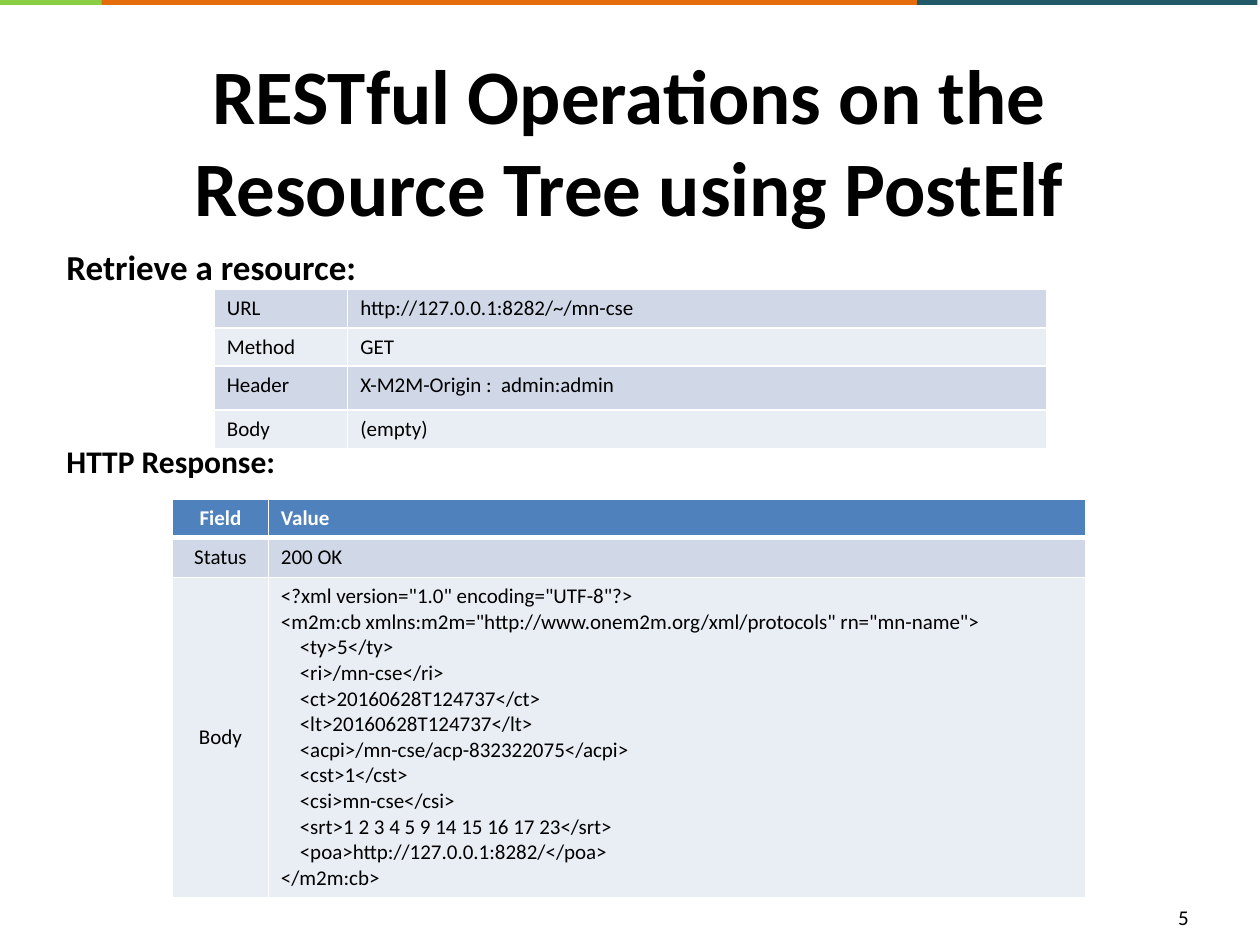
from dataclasses import dataclass

from lxml import etree
from pptx import Presentation
from pptx.dml.color import RGBColor
from pptx.enum.shapes import MSO_SHAPE
from pptx.enum.text import MSO_ANCHOR, MSO_AUTO_SIZE, PP_ALIGN
from pptx.oxml.ns import qn
from pptx.util import Cm, Pt

RECTANGLE = MSO_SHAPE.RECTANGLE
LEFT, CENTER = PP_ALIGN.LEFT, PP_ALIGN.CENTER
TOP, MIDDLE = MSO_ANCHOR.TOP, MSO_ANCHOR.MIDDLE
NO_FIT = MSO_AUTO_SIZE.NONE

BLACK = RGBColor(0x00, 0x00, 0x00)
WHITE = RGBColor(0xFF, 0xFF, 0xFF)
GREEN = RGBColor(0x8B, 0xCD, 0x43)
ORANGE = RGBColor(0xE4, 0x6C, 0x0A)
TEAL = RGBColor(0x21, 0x59, 0x68)
HEADER_BLUE = RGBColor(0x4F, 0x81, 0xBD)
BAND_DARK = RGBColor(0xD0, 0xD8, 0xE8)
BAND_LIGHT = RGBColor(0xE9, 0xED, 0xF4)

FONT = "Calibri"
CODE_INDENT = Cm(0.38)
TITLE_ONLY = 5


@dataclass
class Strip:
    left: float
    width: float
    color: RGBColor


@dataclass
class Label:
    text: str
    left: float
    top: float
    width: float
    height: float
    size: int
    bold: bool = True


@dataclass
class Grid:
    left: float
    top: float
    widths: list[float]
    heights: list[float]
    rows: list[tuple[str, str]]
    has_header: bool = False
    first_align: PP_ALIGN = LEFT
    anchor: MSO_ANCHOR = TOP


RESPONSE_XML = """<?xml version="1.0" encoding="UTF-8"?>
<m2m:cb xmlns:m2m="http://www.onem2m.org/xml/protocols" rn="mn-name">
\t<ty>5</ty>
\t<ri>/mn-cse</ri>
\t<ct>20160628T124737</ct>
\t<lt>20160628T124737</lt>
\t<acpi>/mn-cse/acp-832322075</acpi>
\t<cst>1</cst>
\t<csi>mn-cse</csi>
\t<srt>1 2 3 4 5 9 14 15 16 17 23</srt>
\t<poa>http://127.0.0.1:8282/</poa>
</m2m:cb>"""

STRIPS = [
    Strip(2.03, 16.46, ORANGE),
    Strip(18.49, 6.86, TEAL),
    Strip(-0.13, 2.18, GREEN),
]
LABELS = [
    Label("Retrieve a resource:", 1.09, 4.83, 12, 1.1, 20),
    Label("HTTP Response:", 1.09, 8.79, 12, 1.1, 18),
    Label("5", 23.5, 18.11, 1.63, 1.02, 12, bold=False),
]
REQUEST = Grid(
    4.32, 5.84, [2.69, 14.1], [0.77, 0.77, 0.89, 0.77],
    [
        ("URL", "http://127.0.0.1:8282/~/mn-cse"),
        ("Method", "GET"),
        ("Header", "X-M2M-Origin :  admin:admin"),
        ("Body", "(empty)"),
    ],
)
RESPONSE = Grid(
    3.48, 10.06, [1.93, 16.48], [0.77, 0.81, 6.45],
    [("Field", "Value"), ("Status", "200 OK"), ("Body", RESPONSE_XML)],
    has_header=True, first_align=CENTER, anchor=MIDDLE,
)


def write_text(frame, text: str, *, size: int, color: RGBColor = BLACK,
               bold: bool = False, align: PP_ALIGN = LEFT) -> None:
    """Write one paragraph per line; a leading tab indents the paragraph."""
    for index, line in enumerate(text.split("\n")):
        para = frame.add_paragraph() if index else frame.paragraphs[0]
        para.alignment = align
        if line.startswith("\t"):
            para._p.get_or_add_pPr().set("marL", str(CODE_INDENT))
        span = para.add_run()
        span.text = line.lstrip("\t")
        span.font.name = FONT
        span.font.size = Pt(size)
        span.font.bold = bold
        span.font.color.rgb = color


def draw_strip(page, strip: Strip) -> None:
    box = page.shapes.add_shape(RECTANGLE, Cm(strip.left), Cm(-0.03),
                                Cm(strip.width), Cm(0.13))
    box.shadow.inherit = False
    box.fill.solid()
    box.fill.fore_color.rgb = strip.color
    box.line.fill.background()


def draw_label(page, label: Label) -> None:
    box = page.shapes.add_textbox(Cm(label.left), Cm(label.top),
                                  Cm(label.width), Cm(label.height))
    box.text_frame.word_wrap = True
    write_text(box.text_frame, label.text, size=label.size, bold=label.bold)


def set_borders(cell, top: int, bottom: int) -> None:
    """Give the cell white borders; top and bottom widths are in points."""
    sides = [("a:lnL", 1), ("a:lnR", 1), ("a:lnT", top), ("a:lnB", bottom)]
    properties = cell._tc.get_or_add_tcPr()
    for index, (tag, width) in enumerate(sides):
        line = etree.Element(qn(tag), w=str(Pt(width)))
        fill = etree.SubElement(line, qn("a:solidFill"))
        etree.SubElement(fill, qn("a:srgbClr"), val=str(WHITE))
        properties.insert(index, line)


def draw_grid(page, grid: Grid) -> None:
    table = page.shapes.add_table(
        len(grid.rows), len(grid.widths), Cm(grid.left), Cm(grid.top),
        Cm(sum(grid.widths)), Cm(sum(grid.heights))).table
    table.first_row = grid.has_header
    for column, width in zip(table.columns, grid.widths):
        column.width = Cm(width)
    for number, (values, height) in enumerate(zip(grid.rows, grid.heights)):
        table.rows[number].height = Cm(height)
        is_header = grid.has_header and number == 0
        band = number - grid.has_header
        fill = HEADER_BLUE if is_header else (BAND_DARK, BAND_LIGHT)[band % 2]
        below_header = grid.has_header and number == 1
        for position, value in enumerate(values):
            cell = table.cell(number, position)
            cell.vertical_anchor = grid.anchor
            cell.fill.solid()
            cell.fill.fore_color.rgb = fill
            set_borders(cell, 3 if below_header else 1, 3 if is_header else 1)
            write_text(cell.text_frame, value, size=12, bold=is_header,
                       color=WHITE if is_header else BLACK,
                       align=LEFT if position else grid.first_align)


def main() -> None:
    deck = Presentation()
    deck.slide_width, deck.slide_height = Cm(25.4), Cm(19.05)
    page = deck.slides.add_slide(deck.slide_layouts[TITLE_ONLY])

    # Coloured strips along the top edge
    for strip in STRIPS:
        draw_strip(page, strip)

    # Title
    title = page.shapes.title
    title.left, title.top = Cm(2.21), Cm(0.79)
    title.width, title.height = Cm(20.96), Cm(4.04)
    title.text_frame.auto_size = NO_FIT
    title.text_frame.vertical_anchor = MIDDLE
    write_text(title.text_frame,
               "RESTful Operations on the Resource Tree using PostElf",
               size=44, bold=True, align=CENTER)

    # Section labels, page number and tables
    for label in LABELS:
        draw_label(page, label)
    for grid in (REQUEST, RESPONSE):
        draw_grid(page, grid)

    deck.save("out.pptx")


if __name__ == "__main__":
    main()
